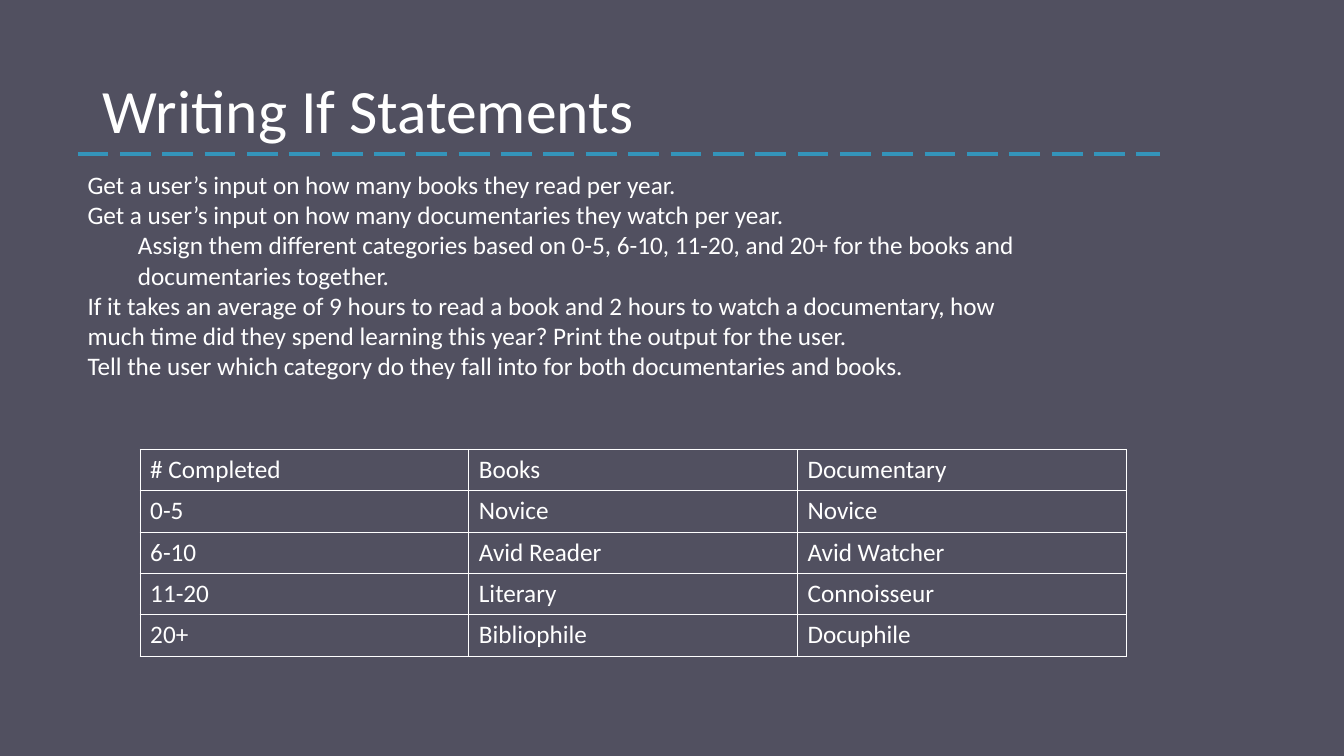
"""Build the slide on writing if statements."""
from dataclasses import dataclass

from lxml import etree
from pptx import Presentation
from pptx.dml.color import RGBColor
from pptx.enum.dml import MSO_LINE
from pptx.enum.shapes import MSO_CONNECTOR
from pptx.enum.text import MSO_ANCHOR, MSO_AUTO_SIZE, PP_ALIGN
from pptx.oxml.ns import qn
from pptx.util import Inches, Pt

STRAIGHT = MSO_CONNECTOR.STRAIGHT
LONG_DASH = MSO_LINE.LONG_DASH
MIDDLE = MSO_ANCHOR.MIDDLE
LEFT = PP_ALIGN.LEFT
NO_AUTOFIT = MSO_AUTO_SIZE.NONE
TITLE_ONLY = 5


@dataclass(frozen=True)
class Theme:
    """Colours, font and type sizes of the slide."""
    background: str = "515060"
    text: str = "FFFFFF"
    accent: str = "3494BA"
    font: str = "Calibri"
    title_size: int = 44
    body_size: int = 18
    rule_width: float = 2.75
    border_width: float = 1


THEME = Theme()

INSTRUCTIONS = [
    (0, "Get a user’s input on how many books they read per year."),
    (0, "Get a user’s input on how many documentaries they watch per year."),
    (1, "Assign them different categories based on 0-5, 6-10, 11-20, and 20+ "
        "for the books and documentaries together."),
    (0, "If it takes an average of 9 hours to read a book and 2 hours to watch "
        "a documentary, how much time did they spend learning this year? "
        "Print the output for the user."),
    (0, "Tell the user which category do they fall into for both "
        "documentaries and books."),
]

CATEGORIES = [
    ("# Completed", "Books", "Documentary"),
    ("0-5", "Novice", "Novice"),
    ("6-10", "Avid Reader", "Avid Watcher"),
    ("11-20", "Literary", "Connoisseur"),
    ("20+", "Bibliophile", "Docuphile"),
]


def style_paragraph(para, size):
    """Apply the theme font to a left-aligned paragraph."""
    para.alignment = LEFT
    para.font.name = THEME.font
    para.font.size = Pt(size)
    para.font.color.rgb = RGBColor.from_string(THEME.text)


def set_title(page, text):
    """Place and format the title placeholder."""
    title = page.shapes.title
    title.left, title.top = Inches(0.92), Inches(0.4)
    title.width, title.height = Inches(11.5), Inches(1.45)
    frame = title.text_frame
    frame.text = text
    frame.word_wrap = True
    frame.auto_size = NO_AUTOFIT
    frame.vertical_anchor = MIDDLE
    para = frame.paragraphs[0]
    para.line_spacing = 0.9
    style_paragraph(para, THEME.title_size)


def add_rule(page, left, right, top):
    """Draw a dashed horizontal rule."""
    rule = page.shapes.add_connector(
        STRAIGHT, Inches(left), Inches(top), Inches(right), Inches(top))
    rule.line.color.rgb = RGBColor.from_string(THEME.accent)
    rule.line.width = Pt(THEME.rule_width)
    rule.line.dash_style = LONG_DASH
    etree.SubElement(rule._element.spPr, qn("a:effectLst"))


def add_instructions(page, left, top, width, height, lines):
    """Add a text box with one paragraph for each level and text."""
    box = page.shapes.add_textbox(
        Inches(left), Inches(top), Inches(width), Inches(height))
    frame = box.text_frame
    frame.word_wrap = True
    for index, (level, text) in enumerate(lines):
        para = frame.add_paragraph() if index else frame.paragraphs[0]
        para.text = text
        para.level = level
        style_paragraph(para, THEME.body_size)
        properties = para._p.get_or_add_pPr()
        properties.set("marL", str(Inches(0.5 * level)))
        properties.set("indent", "0")


def add_borders(cell):
    """Draw a thin line on every side of a cell."""
    properties = cell._tc.get_or_add_tcPr()
    for index, side in enumerate(("lnL", "lnR", "lnT", "lnB")):
        line = etree.Element(qn(f"a:{side}"), w=str(Pt(THEME.border_width)))
        fill = etree.SubElement(line, qn("a:solidFill"))
        etree.SubElement(fill, qn("a:srgbClr"), val=THEME.text)
        properties.insert(index, line)


def add_grid(page, left, top, column_width, row_height, rows):
    """Add an unfilled table with equal columns and rows."""
    row_count, column_count = len(rows), len(rows[0])
    table = page.shapes.add_table(
        row_count, column_count, Inches(left), Inches(top),
        Inches(column_width * column_count),
        Inches(row_height * row_count)).table
    table.first_row = False
    table.horz_banding = False
    for row, texts in enumerate(rows):
        for column, text in enumerate(texts):
            cell = table.cell(row, column)
            cell.text = text
            cell.fill.background()
            style_paragraph(cell.text_frame.paragraphs[0], THEME.body_size)
            add_borders(cell)


def main():
    """Build and save the deck."""
    deck = Presentation()
    deck.slide_width, deck.slide_height = Inches(13.33), Inches(7.5)
    page = deck.slides.add_slide(deck.slide_layouts[TITLE_ONLY])
    page.background.fill.solid()
    page.background.fill.fore_color.rgb = RGBColor.from_string(THEME.background)
    set_title(page, "Writing If Statements")
    add_rule(page, 0.77, 11.51, 1.53)
    add_instructions(page, 0.77, 1.63, 9.56, 2.83, INSTRUCTIONS)
    add_grid(page, 1.39, 4.46, 3.26, 0.41, CATEGORIES)
    deck.save("out.pptx")


if __name__ == "__main__":
    main()
